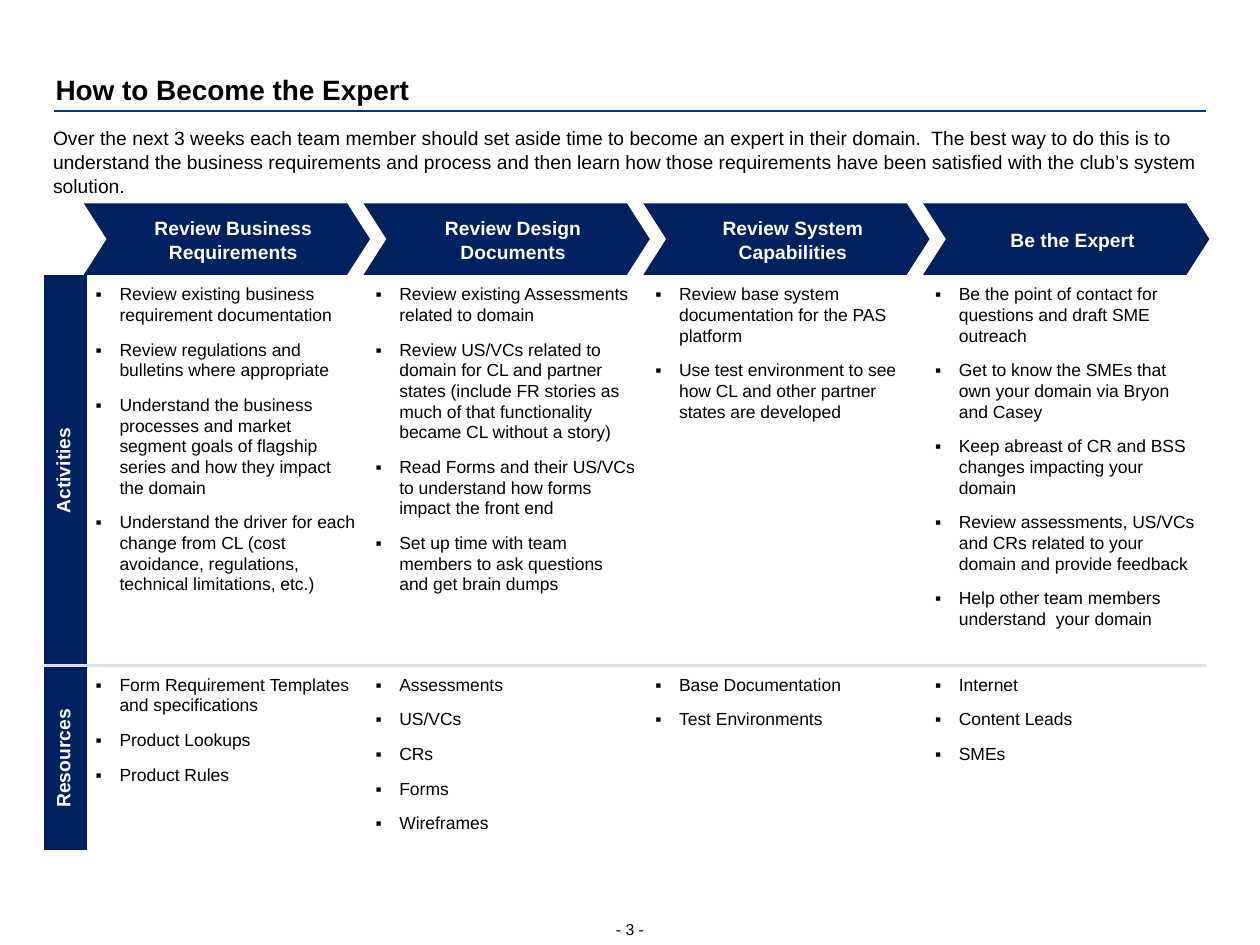
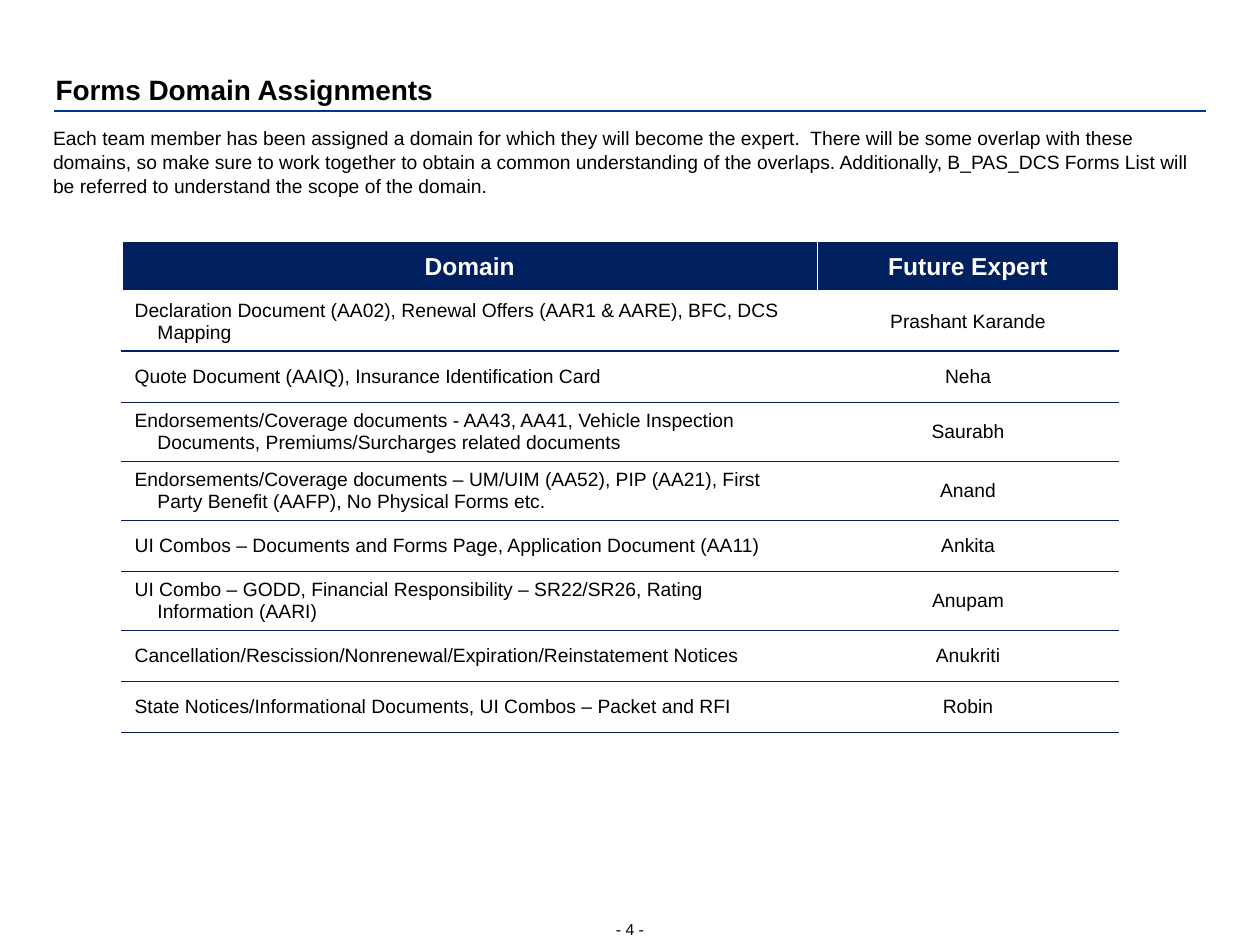
from lxml import etree
from pptx import Presentation
from pptx.dml.color import RGBColor
from pptx.enum import shapes, text
from pptx.oxml import ns
from pptx.util import Cm, Pt

NAVY = RGBColor(0x00, 0x20, 0x60)
RULE_BLUE = RGBColor(0x00, 0x33, 0x99)
PALE_BLUE = RGBColor(0xD8, 0xE0, 0xF1)
WHITE = RGBColor(0xFF, 0xFF, 0xFF)
BLACK = RGBColor(0x00, 0x00, 0x00)

CENTER = text.PP_ALIGN.CENTER
MIDDLE = text.MSO_ANCHOR.MIDDLE
BOTTOM = text.MSO_ANCHOR.BOTTOM
NO_STYLE = "{2D5ABB26-0587-4C30-8999-92F81FD0307C}"

TITLE = {"size": Pt(16), "bold": True}
BODY = {"size": Pt(11)}
BAND = {"size": Pt(11), "bold": True, "color": WHITE}
HEADER = {"size": Pt(14), "bold": True, "color": WHITE}
BULLET = {"size": Pt(10)}
PAGE = {"size": Pt(9)}


def write(p, words, fmt, align=None, spacing=1.06):
    """Put one run of formatted words into a paragraph."""
    p.alignment, p.line_spacing = align, spacing
    r = p.add_run()
    r.text = words
    r.font.name = "Arial"
    r.font.color.rgb = fmt.get("color", BLACK)
    for name in ("size", "bold"):
        setattr(r.font, name, fmt.get(name))


def border(cell, **sides):
    """Draw cell borders, given as (colour, points) for L, R, T, B in order."""
    tcPr = cell._tc.get_or_add_tcPr()
    for side, (color, points) in sides.items():
        ln = etree.SubElement(tcPr, ns.qn("a:ln" + side), w=str(Pt(points)))
        fill = etree.SubElement(ln, ns.qn("a:solidFill"))
        etree.SubElement(fill, ns.qn("a:srgbClr"), val=str(color))


prs = Presentation()
prs.slide_width, prs.slide_height = Cm(25.4), Cm(19.05)

# Title, rule, introduction and page number
pages = [
    (3, "How to Become the Expert",
     "Over the next 3 weeks each team member should set aside time to become an expert "
     "in their domain.  The best way to do this is to understand the business "
     "requirements and process and then learn how those requirements have been "
     "satisfied with the club’s system solution."),
    (4, "Forms Domain Assignments",
     "Each team member has been assigned a domain for which they will become the expert.  "
     "There will be some overlap with these domains, so make sure to work together to "
     "obtain a common understanding of the overlaps. Additionally, B_PAS_DCS Forms List "
     "will be referred to understand the scope of the domain."),
]
for number, title, intro in pages:
    s = prs.slides.add_slide(prs.slide_layouts[6])
    rule = s.shapes.add_connector(
        shapes.MSO_CONNECTOR.STRAIGHT, Cm(1.09), Cm(2.24), Cm(24.31), Cm(2.24))
    rule.line.color.rgb, rule.line.width = RULE_BLUE, Pt(1.5)
    etree.SubElement(rule._element.spPr, ns.qn("a:effectLst"))
    for words, fmt, box, anchor, align in [
        (title, TITLE, (1.12, 1.4, 23.19, 0.74), BOTTOM, None),
        (intro, BODY, (1.07, 2.51, 23.24, 1.42), text.MSO_ANCHOR.TOP, None),
        (f"- {number} -", PAGE, (12.2, 18.52, 1, 0.41), BOTTOM, CENTER),
    ]:
        tf = s.shapes.add_textbox(*map(Cm, box)).text_frame
        tf.word_wrap, tf.vertical_anchor = True, anchor
        tf.margin_left = tf.margin_right = tf.margin_top = tf.margin_bottom = 0
        write(tf.paragraphs[0], words, fmt, align)

process_slide, domain_slide = prs.slides

# Process: four steps with their activities and resources
steps = ["Review Business Requirements", "Review Design Documents",
         "Review System Capabilities", "Be the Expert"]
rows = [
    ("Activities", 7.87, [
        ["Review existing business requirement documentation",
         "Review regulations and bulletins where appropriate",
         "Understand the business processes and market segment goals of flagship series "
         "and how they impact the domain",
         "Understand the driver for each change from CL (cost avoidance, regulations, "
         "technical limitations, etc.)"],
        ["Review existing Assessments related to domain",
         "Review US/VCs related to domain for CL and partner states (include FR stories "
         "as much of that functionality became CL without a story)",
         "Read Forms and their US/VCs to understand how forms impact the front end",
         "Set up time with team members to ask questions and get brain dumps"],
        ["Review base system documentation for the PAS platform",
         "Use test environment to see how CL and other partner states are developed"],
        ["Be the point of contact for questions and draft SME outreach",
         "Get to know the SMEs that own your domain via Bryon and Casey",
         "Keep abreast of CR and BSS changes impacting your domain",
         "Review assessments, US/VCs and CRs related to your domain and provide feedback",
         "Help other team members understand  your domain"]]),
    ("Resources", 3.71, [
        ["Form Requirement Templates and specifications", "Product Lookups",
         "Product Rules"],
        ["Assessments", "US/VCs", "CRs", "Forms", "Wireframes"],
        ["Base Documentation", "Test Environments"],
        ["Internet", "Content Leads", "SMEs"]]),
]
STEP_W, BAND_W = 5.64, 0.86

table = process_slide.shapes.add_table(
    2, 5, Cm(0.89), Cm(5.54), Cm(BAND_W + 4 * STEP_W), Cm(11.58)).table
table._tbl.tblPr.find(ns.qn("a:tableStyleId")).text = NO_STYLE
table.first_row = table.horz_banding = False
for i, col in enumerate(table.columns):
    col.width = Cm(STEP_W if i else BAND_W)

for i, (label, height, lists) in enumerate(rows):
    table.rows[i].height = Cm(height)
    for j, cell in enumerate(table.rows[i].cells):
        border(cell, **{"T" if i else "B": (PALE_BLUE, 2.25)})
        cell.margin_left = cell.margin_top = cell.margin_bottom = Cm(0.18)
        cell.margin_right = Cm(0.2)
        tf = cell.text_frame
        if j == 0:
            cell.fill.solid()
            cell.fill.fore_color.rgb = NAVY
            cell.vertical_anchor = MIDDLE
            cell._tc.tcPr.set("vert", "vert270")
            write(tf.paragraphs[0], label, BAND, CENTER, 1.0)
            continue
        cell.fill.background()
        for k, item in enumerate(lists[j - 1]):
            p = tf.add_paragraph() if k else tf.paragraphs[0]
            pPr = p._p.get_or_add_pPr()
            pPr.set("marL", str(Cm(0.48)))
            pPr.set("indent", str(-Cm(0.48)))
            color = etree.SubElement(pPr, ns.qn("a:buClr"))
            etree.SubElement(color, ns.qn("a:srgbClr"), val=str(BLACK))
            etree.SubElement(pPr, ns.qn("a:buFont"), typeface="Arial")
            etree.SubElement(pPr, ns.qn("a:buChar"), char="▪")
            if k:
                p.space_before = Pt(8)
            write(p, item, BULLET)

for i, step in enumerate(steps):
    sp = process_slide.shapes.add_shape(
        shapes.MSO_SHAPE.CHEVRON, Cm(1.69 + i * STEP_W), Cm(4.1), Cm(5.77), Cm(1.44))
    sp.adjustments[0] = 0.32
    sp.shadow.inherit = False
    sp.fill.solid()
    sp.fill.fore_color.rgb = NAVY
    sp.line.fill.background()
    tf = sp.text_frame
    tf.word_wrap, tf.vertical_anchor = True, MIDDLE
    tf.margin_left, tf.margin_right = Cm(0.51), Cm(0.25)
    tf.margin_top = tf.margin_bottom = Cm(0.13)
    write(tf.paragraphs[0], step, BAND, CENTER)

# Domains and their future experts
assignments = [
    ("Domain", "Future Expert"),
    ("Declaration Document (AA02), Renewal Offers (AAR1 & AARE), BFC, DCS Mapping",
     "Prashant Karande"),
    ("Quote Document (AAIQ), Insurance Identification Card", "Neha"),
    ("Endorsements/Coverage documents - AA43, AA41, Vehicle Inspection Documents, "
     "Premiums/Surcharges related documents", "Saurabh"),
    ("Endorsements/Coverage documents – UM/UIM (AA52), PIP (AA21), First Party Benefit "
     "(AAFP), No Physical Forms etc.", "Anand"),
    ("UI Combos – Documents and Forms Page, Application Document (AA11)", "Ankita"),
    ("UI Combo – GODD, Financial Responsibility – SR22/SR26, Rating Information (AARI)",
     "Anupam"),
    ("Cancellation/Rescission/Nonrenewal/Expiration/Reinstatement Notices", "Anukriti"),
    ("State Notices/Informational Documents, UI Combos – Packet and RFI", "Robin"),
]
ONE_LINE, TWO_LINES, LINE_CHARS = 1.03, 1.19, 70

table = domain_slide.shapes.add_table(
    len(assignments), 2, Cm(2.46), Cm(4.86), Cm(20.09), Cm(9.91)).table
table._tbl.tblPr.find(ns.qn("a:tableStyleId")).text = NO_STYLE
table.horz_banding = False
table.columns[0].width, table.columns[1].width = Cm(14.02), Cm(6.07)

thin_white, thin_navy = (WHITE, 1), (NAVY, 1)
for i, row in enumerate(assignments):
    table.rows[i].height = Cm(TWO_LINES if len(row[0]) > LINE_CHARS else ONE_LINE)
    for j, words in enumerate(row):
        cell = table.cell(i, j)
        cell.vertical_anchor = MIDDLE
        border(cell, L=thin_white, R=thin_white,
               T=thin_navy if i > 1 else (WHITE, 3 if i else 1),
               B=thin_navy if i else (WHITE, 3))
        p = cell.text_frame.paragraphs[0]
        if i == 0:
            cell.fill.solid()
            cell.fill.fore_color.rgb = NAVY
        else:
            cell.fill.background()
            if j == 0:
                pPr = p._p.get_or_add_pPr()
                pPr.set("marL", str(Cm(0.46)))
                pPr.set("indent", str(-Cm(0.46)))
        write(p, words, BODY if i else HEADER, None if i and j == 0 else CENTER, 1.0)

prs.save("out.pptx")
